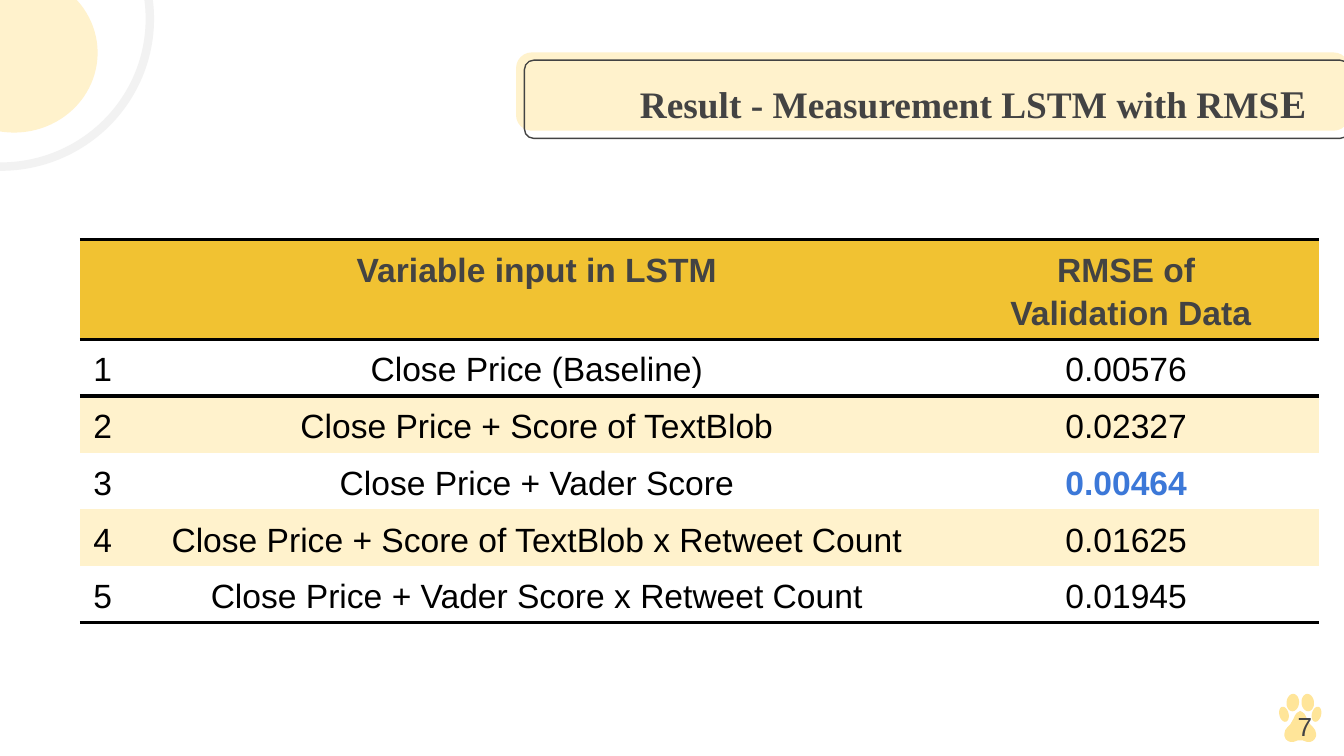
from math import cos, pi, sin

from lxml.etree import SubElement
from pptx import Presentation
from pptx.dml.color import RGBColor as RGB
from pptx.enum.shapes import MSO_SHAPE as SHAPE
from pptx.enum.text import MSO_ANCHOR as ANCHOR, MSO_AUTO_SIZE as FIT, PP_ALIGN as ALIGN
from pptx.oxml.ns import qn
from pptx.util import Inches, Pt

CREAM = RGB(0xFF, 0xF2, 0xCC)
GOLD = RGB(0xF1, 0xC2, 0x32)
SAND = RGB(0xFF, 0xE5, 0x99)
GREY = RGB(0x43, 0x43, 0x43)
PALE = RGB(0xF2, 0xF2, 0xF2)
BLUE = RGB(0x3C, 0x78, 0xD8)
WHITE = RGB(0xFF, 0xFF, 0xFF)
BLACK = RGB(0, 0, 0)
UNIT = Inches(0.1)
NO_STYLE = "{2D5ABB26-0587-4C30-8999-92F81FD0307C}"

HEAD = ("", "Variable input in LSTM", "RMSE of\n Validation Data")
ROWS = (
    ("Close Price (Baseline)", "0.00576"),
    ("Close Price + Score of TextBlob", "0.02327"),
    ("Close Price + Vader Score", "0.00464"),
    ("Close Price + Score of TextBlob x Retweet Count", "0.01625"),
    ("Close Price + Vader Score x Retweet Count", "0.01945"),
)
BEST = "0.00464"
COLS = (0.45, 5.9, 2.87)
HEAD_ROW = 0.26

TOES = ((-0.18, 0.19, 0.15, 0.18, 10), (-0.39, 0.43, 0.11, 0.16, -20))
PAD = (
    (0, 0.36), (0.06, 0.39), (0.1, 0.42), (0.13, 0.46), (0.16, 0.52),
    (0.2, 0.58), (0.24, 0.64), (0.31, 0.7), (0.36, 0.76), (0.38, 0.83),
    (0.38, 0.88), (0.35, 0.94), (0.3, 0.98), (0.24, 1), (0.16, 1),
    (0.06, 0.97), (0, 0.97),
)


def part(box, x, y, w, h):
    left, top, wide, high = box
    return left + x * wide, top + y * high, w * wide, h * high


def emu(box):
    return [int(v * UNIT) for v in box]


def paint(shape, fill=None, line=None, width=1):
    shape.shadow.inherit = False
    if fill is None:
        shape.fill.background()
    else:
        shape.fill.solid()
        shape.fill.fore_color.rgb = fill
    if line is None:
        shape.line.fill.background()
    else:
        shape.line.color.rgb = line
        shape.line.width = Pt(width)


def write(para, text, size, face, color, bold=False):
    run = para.add_run()
    run.text = text
    font = run.font
    font.size, font.name, font.bold = Pt(size), face, bold
    font.color.rgb = color


def inset(frame):
    frame.margin_left = frame.margin_right = UNIT
    frame.margin_top = frame.margin_bottom = UNIT
    frame.vertical_anchor = ANCHOR.MIDDLE
    frame.word_wrap = True
    frame.auto_size = FIT.NONE


def banner(slide, box):
    shapes = slide.shapes
    back = shapes.add_shape(SHAPE.ROUNDED_RECTANGLE, *emu(part(box, 0, 0, 1, 0.91)))
    back.adjustments[0] = 0.2
    paint(back, CREAM)
    rim = shapes.add_shape(SHAPE.ROUNDED_RECTANGLE, *emu(part(box, 0.01, 0.09, 0.99, 0.91)))
    rim.adjustments[0] = 0.12
    paint(rim, line=GREY, width=0.75)


def heading(slide, box):
    title = slide.shapes.title
    title.left, title.top, title.width, title.height = emu(box)
    slide.shapes._spTree.append(title._element)
    inset(title.text_frame)
    para = title.text_frame.paragraphs[0]
    para.alignment = ALIGN.RIGHT
    for text, size in (("Result - Measurement LSTM with RMS", 20), ("E", 21)):
        write(para, text, size, "Times New Roman", GREY, True)


def rings(slide, box):
    disc = slide.shapes.add_shape(SHAPE.OVAL, *emu(part(box, 0.265, 0.345, 0.56, 0.54)))
    paint(disc, CREAM)
    ring = slide.shapes.add_shape(SHAPE.OVAL, *emu(box))
    paint(ring, line=PALE, width=4.5)


def rule(cell, side):
    line = SubElement(cell._tc.get_or_add_tcPr(), qn("a:" + side), w=str(Pt(2)))
    color = SubElement(SubElement(line, qn("a:solidFill")), qn("a:srgbClr"))
    color.set("val", str(BLACK))


def fill_cell(cell, text, sides, fill, color, bold, align):
    for side in sides:
        rule(cell, side)
    cell.fill.solid()
    cell.fill.fore_color.rgb = fill
    frame = cell.text_frame
    for i, line in enumerate(text.split("\n")):
        para = frame.add_paragraph() if i else frame.paragraphs[0]
        para.alignment = align
        para.line_spacing = 1.15
        if line:
            write(para, line, 18, "Arial", color, bold)


def scores(slide, box):
    data = [HEAD] + [(str(i), *row) for i, row in enumerate(ROWS, 1)]
    frame = slide.shapes.add_table(len(data), len(COLS), *emu(box))
    table = frame.table
    table.first_row = table.horz_banding = False
    table._tbl.tblPr.find(qn("a:tableStyleId")).text = NO_STYLE
    wide, high = emu(box)[2:]
    for col, share in zip(table.columns, COLS):
        col.width = int(wide * share / sum(COLS))
    for r, row in enumerate(data):
        share = (1 - HEAD_ROW) / len(ROWS) if r else HEAD_ROW
        table.rows[r].height = int(high * share)
        sides = ["lnT"] if r <= 1 else []
        if r in (0, len(ROWS)):
            sides.append("lnB")
        fill = GOLD if r == 0 else WHITE if r % 2 else CREAM
        for c, text in enumerate(row):
            best = text == BEST
            color = GREY if r == 0 else BLUE if best else BLACK
            align = ALIGN.CENTER if c else ALIGN.LEFT
            fill_cell(table.cell(r, c), text, sides, fill, color, r == 0 or best, align)


def blob(group, box, points):
    left, top, wide, high = emu(box)
    spots = [(int(left + wide * (0.5 + x)), int(top + high * y)) for x, y in points]
    pen = group.shapes.build_freeform(*spots[0])
    pen.add_line_segments(spots[1:])
    shape = pen.convert_to_shape()
    paint(shape, SAND)
    return shape


def paw(slide, box, number):
    group = slide.shapes.add_group_shape()
    for side in (1, -1):
        for x, y, a, b, tilt in TOES:
            lean = tilt * pi / 180
            turns = [2 * pi * i / 40 for i in range(40)]
            oval = [
                (side * (x + a * cos(t) * cos(lean) - b * sin(t) * sin(lean)),
                 y + a * cos(t) * sin(lean) + b * sin(t) * cos(lean))
                for t in turns
            ]
            blob(group, box, oval)
    pad = blob(group, box, PAD + tuple((-x, y) for x, y in PAD[-2:0:-1]))
    inset(pad.text_frame)
    para = pad.text_frame.paragraphs[0]
    para.alignment = ALIGN.LEFT
    write(para, number, 14, "Arial", GREY)


def main():
    deck = Presentation()
    deck.slide_width = Inches(10)
    deck.slide_height = deck.slide_width * 9 // 16
    slide = deck.slides.add_slide(deck.slide_layouts[5])
    banner(slide, (38.4, 3.9, 62, 6.4))
    heading(slide, (43, 5, 55.2, 5.3))
    scores(slide, (5.94, 17.8, 92.2, 28.4))
    rings(slide, (-11.05, -9.6, 22.2, 22))
    paw(slide, (95.2, 51.6, 3.1, 3.6), "7")
    deck.save("out.pptx")


if __name__ == "__main__":
    main()
